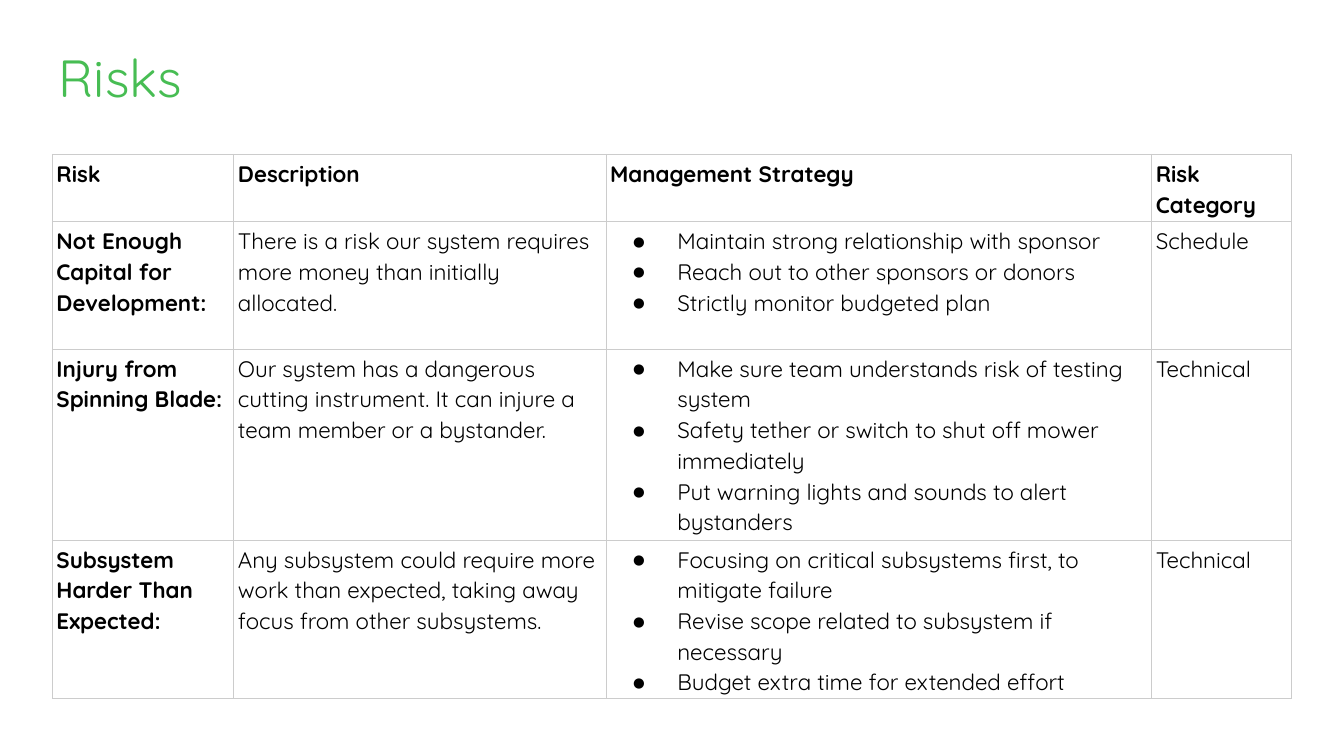
from dataclasses import dataclass

from lxml.etree import SubElement
from pptx import Presentation
from pptx.dml.color import RGBColor
from pptx.enum.text import MSO_ANCHOR
from pptx.oxml.ns import qn
from pptx.slide import Slide
from pptx.table import _Cell as Cell
from pptx.text.text import _Paragraph as Paragraph
from pptx.util import Inches, Pt

FONT = "Quicksand"
GREEN = RGBColor(0x47, 0xBD, 0x53)
BLACK = RGBColor(0x00, 0x00, 0x00)
BORDER_GRAY = RGBColor(0xCC, 0xCC, 0xCC)

SLIDE_WIDTH = 10
SLIDE_HEIGHT = SLIDE_WIDTH * 9 / 16
COLUMN_WIDTHS = (1.35, 2.77, 4.06, 1.04)
ROW_HEIGHTS = (0.5, 0.95, 1.42, 1.18)
HEADINGS = ("Risk", "Description", "Management Strategy", "Risk Category")


@dataclass
class Risk:
    name: str
    description: str
    strategies: tuple[str, ...]
    category: str


RISKS = (
    Risk(
        "Not Enough Capital for Development:",
        "There is a risk our system requires more money than initially allocated.",
        (
            "Maintain strong relationship with sponsor",
            "Reach out to other sponsors or donors",
            "Strictly monitor budgeted plan",
        ),
        "Schedule",
    ),
    Risk(
        "Injury from Spinning Blade:",
        "Our system has a dangerous cutting instrument. "
        "It can injure a team member or a bystander.",
        (
            "Make sure team understands risk of testing system",
            "Safety tether or switch to shut off mower immediately",
            "Put warning lights and sounds to alert bystanders",
        ),
        "Technical",
    ),
    Risk(
        "Subsystem Harder Than Expected:",
        "Any subsystem could require more work than expected, "
        "taking away focus from other subsystems.",
        (
            "Focusing on critical subsystems first, to mitigate failure",
            "Revise scope related to subsystem if necessary",
            "Budget extra time for extended effort",
        ),
        "Technical",
    ),
)


def style_text(para: Paragraph, size: float, color: RGBColor, bold: bool = False) -> None:
    for span in para.runs:
        span.font.name = FONT
        span.font.size = Pt(size)
        span.font.bold = bold
        span.font.color.rgb = color


def add_bullet(para: Paragraph) -> None:
    properties = para._p.get_or_add_pPr()
    properties.set("marL", str(Inches(0.5)))
    properties.set("indent", str(Inches(-0.33)))
    SubElement(properties, qn("a:buSzPct"), val="60000")
    SubElement(properties, qn("a:buFont"), typeface=FONT)
    SubElement(properties, qn("a:buChar"), char="●")


def add_borders(cell: Cell) -> None:
    properties = cell._tc.get_or_add_tcPr()
    for side in ("lnL", "lnR", "lnT", "lnB"):
        line = SubElement(properties, qn(f"a:{side}"), w=str(Pt(0.75)))
        fill = SubElement(line, qn("a:solidFill"))
        SubElement(fill, qn("a:srgbClr"), val=str(BORDER_GRAY))


def fill_cell(cell: Cell, text: str, bold: bool = False, bulleted: bool = False) -> None:
    cell.margin_left = cell.margin_right = Inches(0.03)
    cell.margin_top = cell.margin_bottom = Inches(0.02)
    cell.vertical_anchor = MSO_ANCHOR.TOP
    add_borders(cell)
    cell.fill.background()
    cell.text_frame.text = text
    for para in cell.text_frame.paragraphs:
        para.line_spacing = 1.1
        if bulleted:
            add_bullet(para)
        style_text(para, 12, BLACK, bold)


def add_title(page: Slide, text: str) -> None:
    box = page.shapes.add_textbox(Inches(0.34), Inches(0.24), Inches(9.32), Inches(0.63))
    frame = box.text_frame
    frame.word_wrap = True
    frame.margin_left = frame.margin_right = Inches(0.1)
    frame.margin_top = frame.margin_bottom = Inches(0.1)
    frame.text = text
    style_text(frame.paragraphs[0], 28, GREEN)


def add_risk_table(page: Slide) -> None:
    table = page.shapes.add_table(
        len(ROW_HEIGHTS), len(COLUMN_WIDTHS), Inches(0.39), Inches(1.15),
        Inches(sum(COLUMN_WIDTHS)), Inches(sum(ROW_HEIGHTS)),
    ).table
    table.first_row = table.horz_banding = False
    for column, width in zip(table.columns, COLUMN_WIDTHS):
        column.width = Inches(width)
    for row, height in zip(table.rows, ROW_HEIGHTS):
        row.height = Inches(height)

    for column, heading in enumerate(HEADINGS):
        fill_cell(table.cell(0, column), heading, bold=True)
    for row, risk in enumerate(RISKS, start=1):
        fill_cell(table.cell(row, 0), risk.name, bold=True)
        fill_cell(table.cell(row, 1), risk.description)
        fill_cell(table.cell(row, 2), "\n".join(risk.strategies), bulleted=True)
        fill_cell(table.cell(row, 3), risk.category)


def main() -> None:
    deck = Presentation()
    deck.slide_width, deck.slide_height = Inches(SLIDE_WIDTH), Inches(SLIDE_HEIGHT)
    page = deck.slides.add_slide(deck.slide_layouts[6])
    add_title(page, "Risks")
    add_risk_table(page)
    deck.save("out.pptx")


if __name__ == "__main__":
    main()
